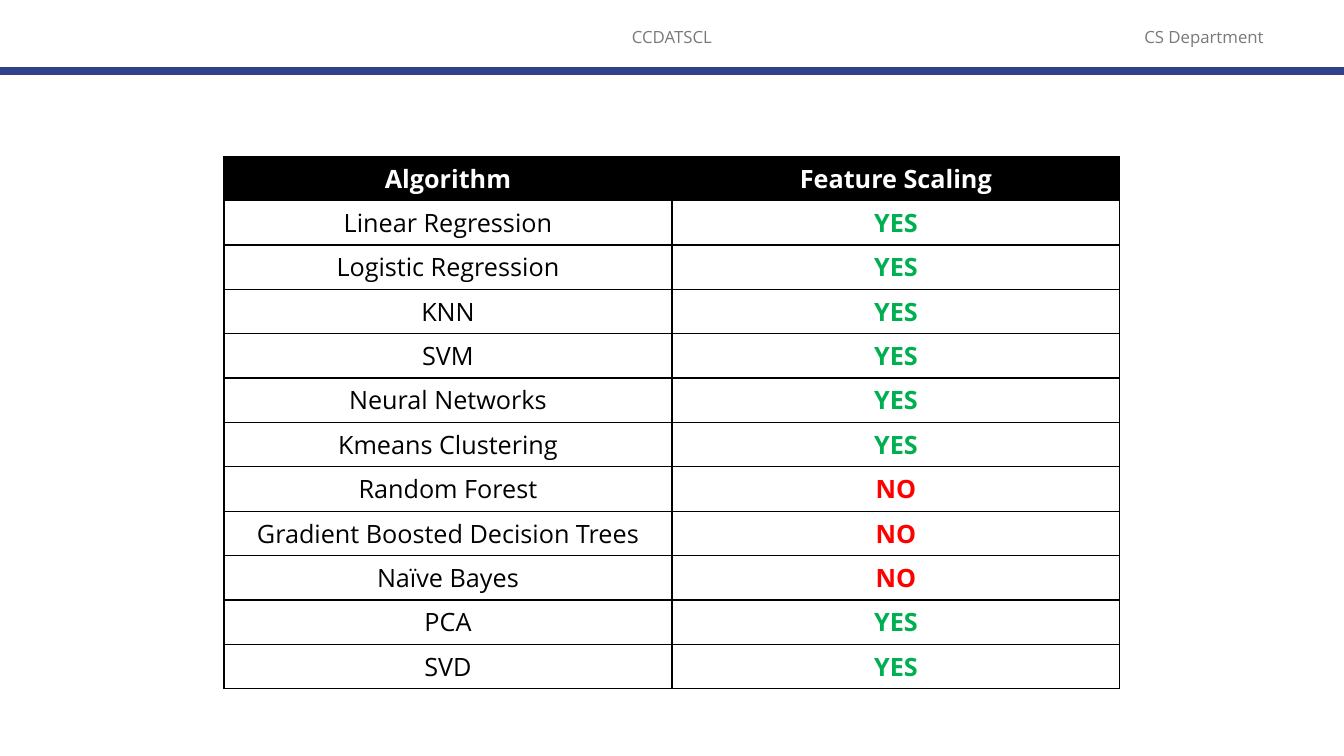
"""Build the slide on which algorithms need feature scaling."""
import pptx
import pptx.util
import pptx.dml.color
import pptx.enum.shapes
import pptx.enum.text
import pptx.oxml
import pptx.oxml.ns
import lxml.etree

Pt = pptx.util.Pt
FONT = "Open Sans"
COLORS = {
    "black": "000000",
    "white": "FFFFFF",
    "gray": "797979",
    "navy": "32418C",
    "YES": "00B050",
    "NO": "FF0000",
}
HEADINGS = ("Algorithm", "Feature Scaling")
ALGORITHMS = [
    ("Linear Regression", "YES"),
    ("Logistic Regression", "YES"),
    ("KNN", "YES"),
    ("SVM", "YES"),
    ("Neural Networks", "YES"),
    ("Kmeans Clustering", "YES"),
    ("Random Forest", "NO"),
    ("Gradient Boosted Decision Trees", "NO"),
    ("Naïve Bayes", "NO"),
    ("PCA", "YES"),
    ("SVD", "YES"),
]


def rgb(name):
    return pptx.dml.color.RGBColor.from_string(COLORS[name])


def write(tf, text, size, color, bold=False):
    p = tf.paragraphs[0]
    p.text = text
    p.alignment = pptx.enum.text.PP_ALIGN.CENTER
    p.font.name = FONT
    p.font.size = Pt(size)
    p.font.bold = bold
    p.font.color.rgb = rgb(color)


def add_label(s, text, left, width):
    tf = s.shapes.add_textbox(Pt(left), Pt(12.24), Pt(width), Pt(28.8)).text_frame
    tf.word_wrap = True
    tf.vertical_anchor = pptx.enum.text.MSO_ANCHOR.MIDDLE
    write(tf, text, 12, "gray")


def add_rule(s, y, width):
    line = s.shapes.add_connector(
        pptx.enum.shapes.MSO_CONNECTOR.STRAIGHT, 0, Pt(y), width, Pt(y))
    line.line.color.rgb = rgb("navy")
    line.line.width = Pt(6)
    lxml.etree.SubElement(line._element.spPr, pptx.oxml.ns.qn("a:effectLst"))


def add_borders(cell):
    tcPr = cell._tc.get_or_add_tcPr()
    for side in ("lnL", "lnR", "lnT", "lnB"):
        tcPr.append(pptx.oxml.parse_xml(
            f'<a:{side} {pptx.oxml.ns.nsdecls("a")} w="{Pt(1)}"><a:solidFill>'
            f'<a:srgbClr val="{COLORS["black"]}"/></a:solidFill></a:{side}>'))


def fill_cell(cell, text, color, bold, fill=None):
    write(cell.text_frame, text, 18, color, bold)
    add_borders(cell)
    if fill:
        cell.fill.solid()
        cell.fill.fore_color.rgb = rgb(fill)
    else:
        cell.fill.background()


def add_scaling_table(s, left, top, col_width, row_height):
    rows, cols = len(ALGORITHMS) + 1, len(HEADINGS)
    table = s.shapes.add_table(
        rows, cols, Pt(left), Pt(top),
        Pt(col_width * cols), Pt(row_height * rows)).table
    table.horz_banding = False
    for row in table.rows:
        row.height = Pt(row_height)
    for col, heading in enumerate(HEADINGS):
        fill_cell(table.cell(0, col), heading, "white", True, "black")
    for i, (algorithm, answer) in enumerate(ALGORITHMS, 1):
        fill_cell(table.cell(i, 0), algorithm, "black", False)
        fill_cell(table.cell(i, 1), answer, answer, True)


def main():
    prs = pptx.Presentation()
    prs.slide_width, prs.slide_height = Pt(960), Pt(540)
    s = prs.slides.add_slide(prs.slide_layouts[6])
    add_label(s, "CCDATSCL", 318, 324)
    add_label(s, "CS Department", 786.24, 147.6)
    add_rule(s, 50.6, prs.slide_width)
    add_scaling_table(s, 160, 111.6, 320, 31.7)
    prs.save("out.pptx")


if __name__ == "__main__":
    main()
